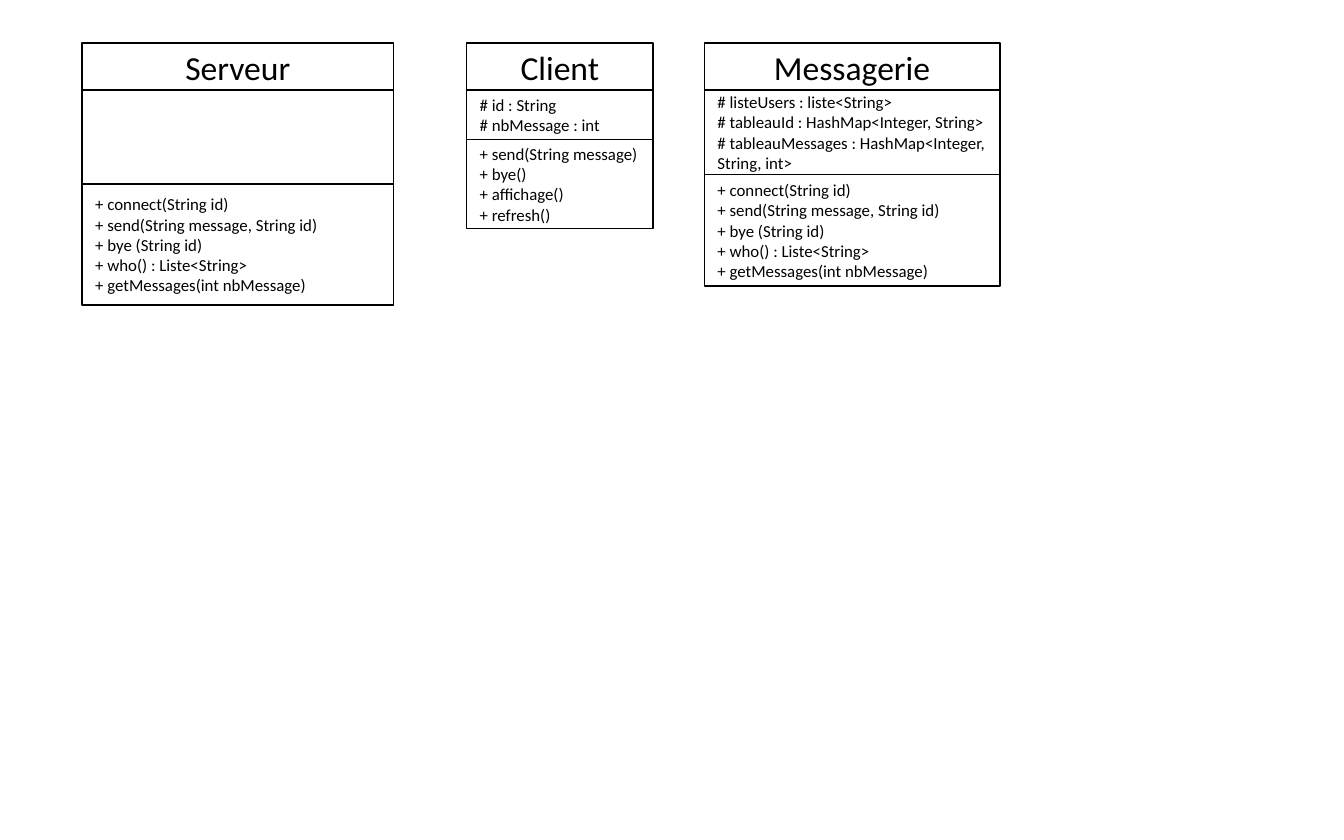
import pptx
import pptx.dml.color
import pptx.enum.shapes
import pptx.enum.text
import pptx.util

Inches, Pt = pptx.util.Inches, pptx.util.Pt
ALIGN = pptx.enum.text.PP_ALIGN

TOP, NAME_HEIGHT = 0.32, 0.35
SERVICE_METHODS = [
    "+ connect(String id)",
    "+ send(String message, String id)",
    "+ bye (String id)",
    "+ who() : Liste<String>",
    "+ getMessages(int nbMessage)",
]
# Each compartment is (height, lines).
CLASSES = [
    {"name": "Serveur", "left": 0.61, "width": 2.32,
     "attributes": (0.7, []),
     "methods": (0.9, SERVICE_METHODS)},
    {"name": "Client", "left": 3.47, "width": 1.39,
     "attributes": (0.37, ["# id : String", "# nbMessage : int"]),
     "methods": (0.66, ["+ send(String message)", "+ bye()",
                        "+ affichage()", "+ refresh()"])},
    {"name": "Messagerie", "left": 5.24, "width": 2.2,
     "attributes": (0.63, ["# listeUsers : liste<String>",
                           "# tableauId : HashMap<Integer, String>",
                           "# tableauMessages : HashMap<Integer, String, int>"]),
     "methods": (0.83, SERVICE_METHODS)},
]


def rgb(value):
    """Turn a hex string into a colour."""
    return pptx.dml.color.RGBColor.from_string(value)


def write(tf, lines, size=9, align=ALIGN.LEFT, font="Calibri", color="000000"):
    """Write one paragraph per line, centred vertically."""
    tf.word_wrap = True
    tf.vertical_anchor = pptx.enum.text.MSO_ANCHOR.MIDDLE
    for i, line in enumerate(lines):
        p = tf.paragraphs[0] if i == 0 else tf.add_paragraph()
        p.alignment = align
        r = p.add_run()
        r.text = line
        r.font.size, r.font.name = Pt(size), font
        r.font.color.rgb = rgb(color)


def add_compartment(s, left, top, width, height, lines, **text_format):
    """Draw one outlined compartment of a class box."""
    sp = s.shapes.add_shape(pptx.enum.shapes.MSO_SHAPE.RECTANGLE,
                            *map(Inches, (left, top, width, height)))
    sp.shadow.inherit = False
    sp.fill.background()
    sp.line.color.rgb = rgb("000000")
    sp.line.width = Pt(0.75)
    write(sp.text_frame, lines, **text_format)


def add_class(s, name, left, width, attributes, methods):
    """Stack the name, attributes and methods of a class."""
    add_compartment(s, left, TOP, width, NAME_HEIGHT, [name],
                    size=18, align=ALIGN.CENTER)
    top = TOP + NAME_HEIGHT
    for height, lines in (attributes, methods):
        add_compartment(s, left, top, width, height, lines)
        top += height


prs = pptx.Presentation()
prs.slide_width, prs.slide_height = Inches(10), Inches(6.25)
s = prs.slides.add_slide(prs.slide_layouts[6])
for uml_class in CLASSES:
    add_class(s, **uml_class)
prs.save("out.pptx")
